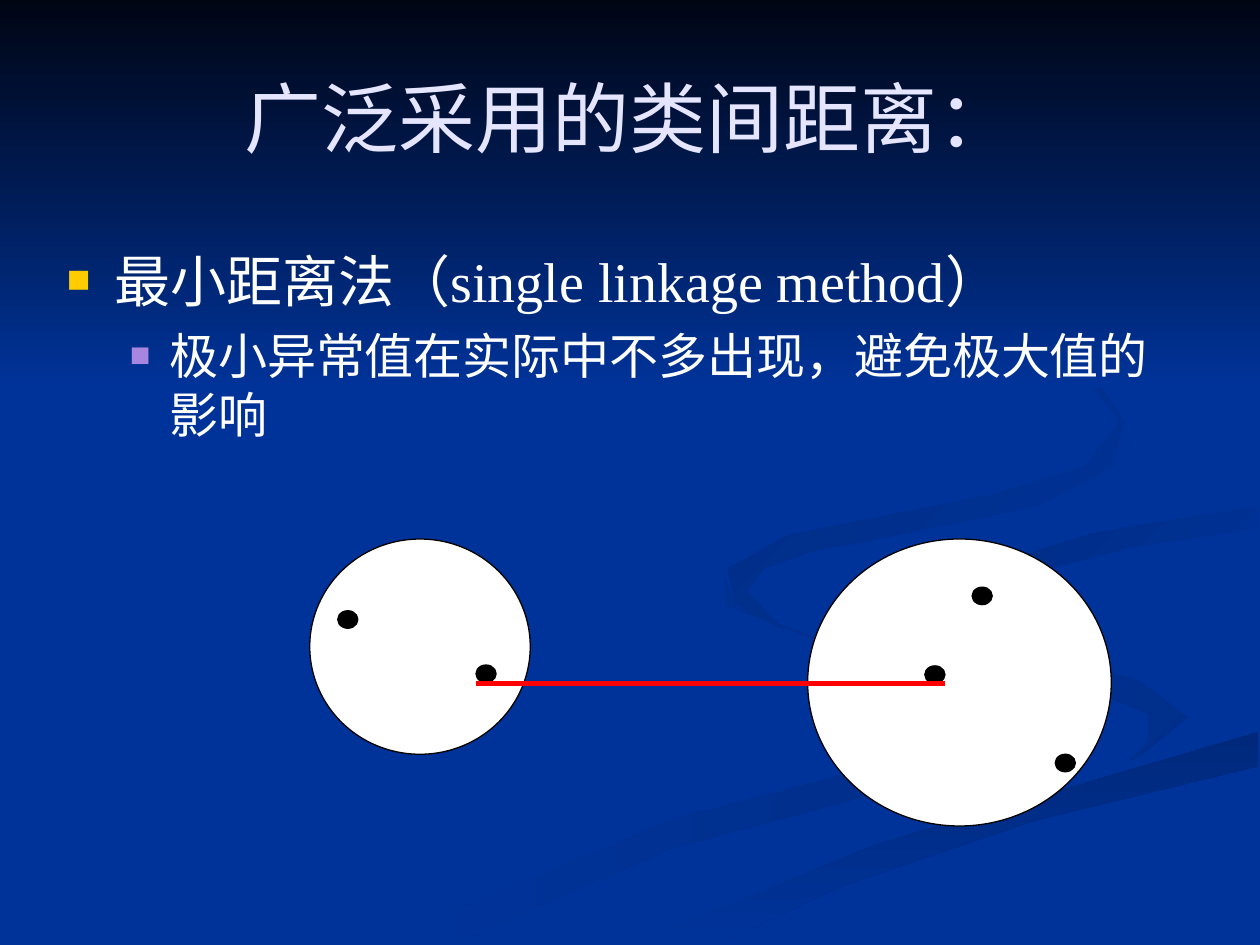
from lxml import etree
from pptx import Presentation
from pptx.dml.color import RGBColor
from pptx.enum.shapes import MSO_CONNECTOR, MSO_SHAPE
from pptx.enum.text import MSO_ANCHOR, MSO_AUTO_SIZE, PP_ALIGN
from pptx.oxml.ns import qn
from pptx.util import Pt

ELLIPSE = MSO_SHAPE.OVAL
STRAIGHT = MSO_CONNECTOR.STRAIGHT
MIDDLE, TOP = MSO_ANCHOR.MIDDLE, MSO_ANCHOR.TOP
NO_FIT = MSO_AUTO_SIZE.NONE
CENTER, LEFT = PP_ALIGN.CENTER, PP_ALIGN.LEFT

FONT = "Times New Roman"
COLORS = {
    "background": "003399",
    "sky": "000514",
    "ribbon": "002E8A",
    "deep ribbon": "00297C",
    "right ribbon": "002C85",
    "upper ribbon": "002B81",
    "title": "E5E5FF",
    "text": "FFFFFF",
    "first bullet": "FFCC00",
    "second bullet": "A886E0",
    "cluster": "FFFFFF",
    "point": "000000",
    "outline": "000000",
    "distance": "FF0000",
}


def rgb(name):
    return RGBColor.from_string(COLORS[name])


def apply_format(target, values):
    for attribute, value in values.items():
        setattr(target, attribute, value)


presentation = Presentation()
apply_format(presentation, {"slide_width": Pt(720), "slide_height": Pt(540)})
slide = presentation.slides.add_slide(presentation.slide_layouts[1])
slide.background.fill.solid()
slide.background.fill.fore_color.rgb = rgb("background")
title, body = slide.placeholders

backdrop = [
    ("ribbon", "background", 180, [
        (562, 398), (491, 374), (420, 347), (414, 330), (415, 346), (489, 374),
        (559, 398), (564, 413), (532, 430), (388, 467), (216, 539), (260, 539),
        (383, 485), (544, 442), (576, 418)]),
    ("ribbon", "background", 225, [
        (679, 410), (652, 389), (546, 358), (521, 334), (531, 356), (603, 386),
        (656, 408), (656, 424), (644, 436), (677, 418)]),
    ("deep ribbon", "background", 90, [
        (362, 539), (411, 539), (482, 506), (591, 469), (719, 438), (719, 418),
        (624, 446), (501, 482), (410, 518)]),
    ("background", "background", 0, [
        (522, 334), (546, 358), (652, 389), (679, 410), (650, 434), (477, 481),
        (343, 539), (362, 539), (501, 482), (719, 418), (719, 387), (611, 362),
        (562, 333), (592, 312), (719, 289), (719, 279), (567, 304), (527, 321)]),
    ("background", "right ribbon", 225, [
        (562, 331), (570, 344), (595, 357), (580, 340), (596, 326), (645, 313),
        (719, 302), (719, 289), (623, 305), (570, 322)]),
    ("background", "upper ribbon", 225, [
        (492, 310), (594, 289), (636, 267), (643, 241), (622, 210), (583, 184),
        (549, 168), (609, 201), (640, 241), (620, 266), (570, 282), (450, 306),
        (416, 325), (420, 345), (448, 360), (427, 338), (436, 325), (467, 314)]),
    ("sky", "background", 90, [(0, 0), (0, 222), (720, 222), (720, 0)]),
]
for start_color, end_color, angle, outline in backdrop:
    builder = slide.shapes.build_freeform(*outline[0], scale=Pt(1))
    builder.add_line_segments(outline[1:], close=True)
    band = builder.convert_to_shape()
    band.shadow.inherit = False
    band.line.fill.background()
    if start_color == end_color:
        band.fill.solid()
        band.fill.fore_color.rgb = rgb(start_color)
    else:
        band.fill.gradient()
        band.fill.gradient_angle = (360 - angle) % 360
        for stop, color in zip(band.fill.gradient_stops, (start_color, end_color)):
            stop.color.rgb = rgb(color)
    title.element.addprevious(band.element)

apply_format(title, {"left": Pt(36), "top": Pt(21.6), "width": Pt(648), "height": Pt(90)})
apply_format(title.text_frame, {
    "text": "广泛采用的类间距离：", "vertical_anchor": MIDDLE,
    "auto_size": NO_FIT, "word_wrap": True})
heading = title.text_frame.paragraphs[0]
heading.alignment = CENTER
apply_format(heading.runs[0].font, {"name": FONT, "size": Pt(44)})
heading.runs[0].font.color.rgb = rgb("title")

apply_format(body, {"left": Pt(31), "top": Pt(137), "width": Pt(648), "height": Pt(308)})
apply_format(body.text_frame, {
    "text": "最小距离法（single linkage method）\n极小异常值在实际中不多出现，避免极大值的影响",
    "vertical_anchor": TOP, "auto_size": NO_FIT, "word_wrap": True})
levels = [
    ("first bullet", 32, 0, 27, -27),
    ("second bullet", 28, 7, 58.5, -22.5),
]
for level, (item, (bullet_color, size, gap, margin, indent)) in enumerate(
        zip(body.text_frame.paragraphs, levels)):
    properties = item._p.get_or_add_pPr()
    properties.set("marL", str(Pt(margin)))
    properties.set("indent", str(Pt(indent)))
    color = etree.SubElement(properties, qn("a:buClr"))
    etree.SubElement(color, qn("a:srgbClr"), val=COLORS[bullet_color])
    etree.SubElement(properties, qn("a:buSzPct"), val="70000")
    etree.SubElement(properties, qn("a:buFont"), typeface=FONT)
    etree.SubElement(properties, qn("a:buChar"), char="■")
    apply_format(item, {"level": level, "alignment": LEFT, "space_before": Pt(gap)})
    apply_format(item.runs[0].font, {"name": FONT, "size": Pt(size)})
    item.runs[0].font.color.rgb = rgb("text")

clusters = [(177, 308, 126, 123), (461.5, 308, 173.5, 164)]
points = [(193, 349), (272, 380), (603, 431), (528.5, 380.5), (555.5, 335.5)]
circles = [("cluster", *box) for box in clusters]
circles += [("point", left, top, 11.5, 10) for left, top in points]
for role, *box in circles:
    circle = slide.shapes.add_shape(ELLIPSE, *map(Pt, box))
    circle.shadow.inherit = False
    circle.fill.solid()
    circle.fill.fore_color.rgb = rgb(role)
    circle.line.color.rgb = rgb("outline")
    circle.line.width = Pt(0.75)

distance = slide.shapes.add_connector(STRAIGHT, Pt(272), Pt(390.5), Pt(540), Pt(390.5))
distance.line.color.rgb = rgb("distance")
distance.line.width = Pt(3)
etree.SubElement(distance.element.spPr, qn("a:effectLst"))

presentation.save("out.pptx")
